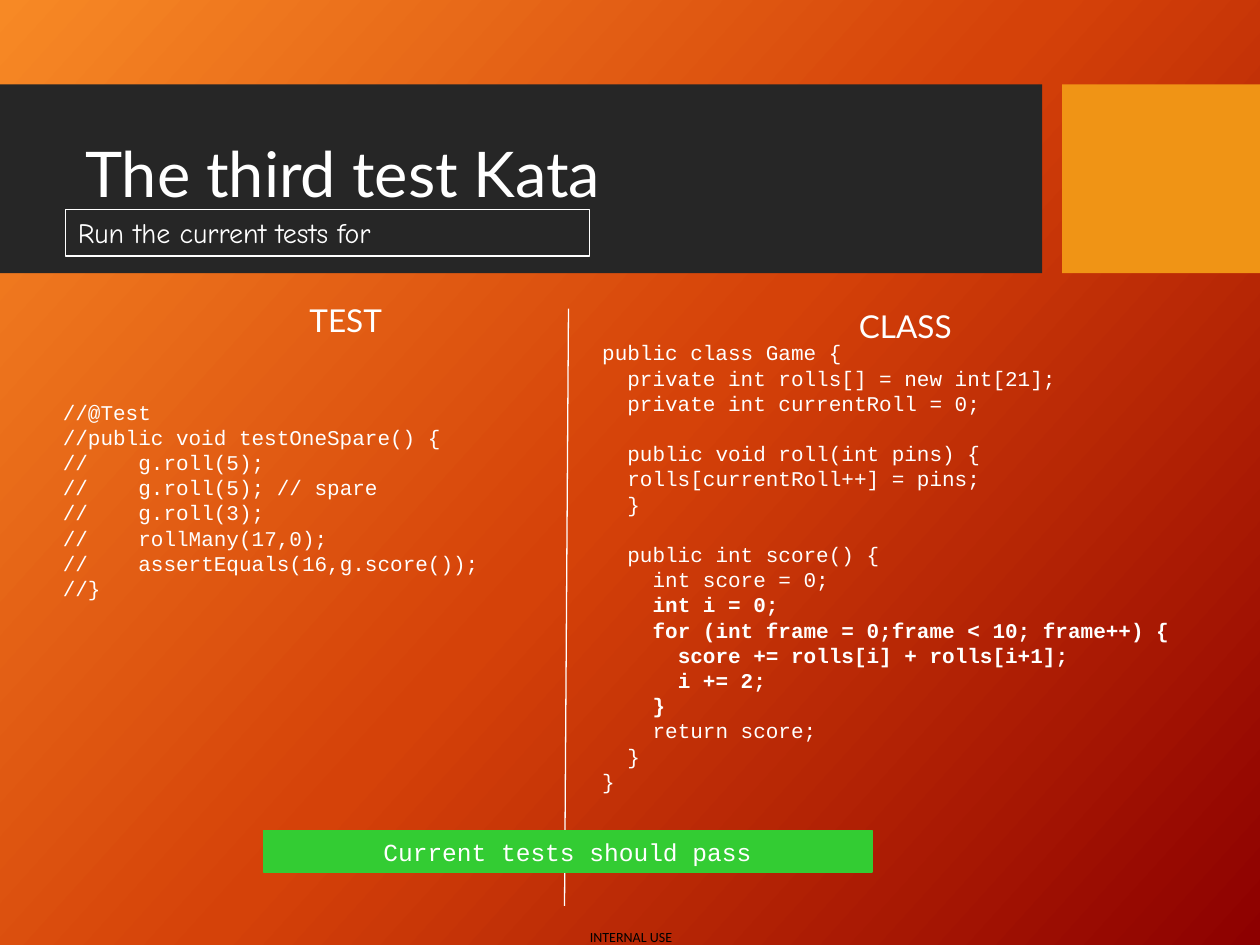
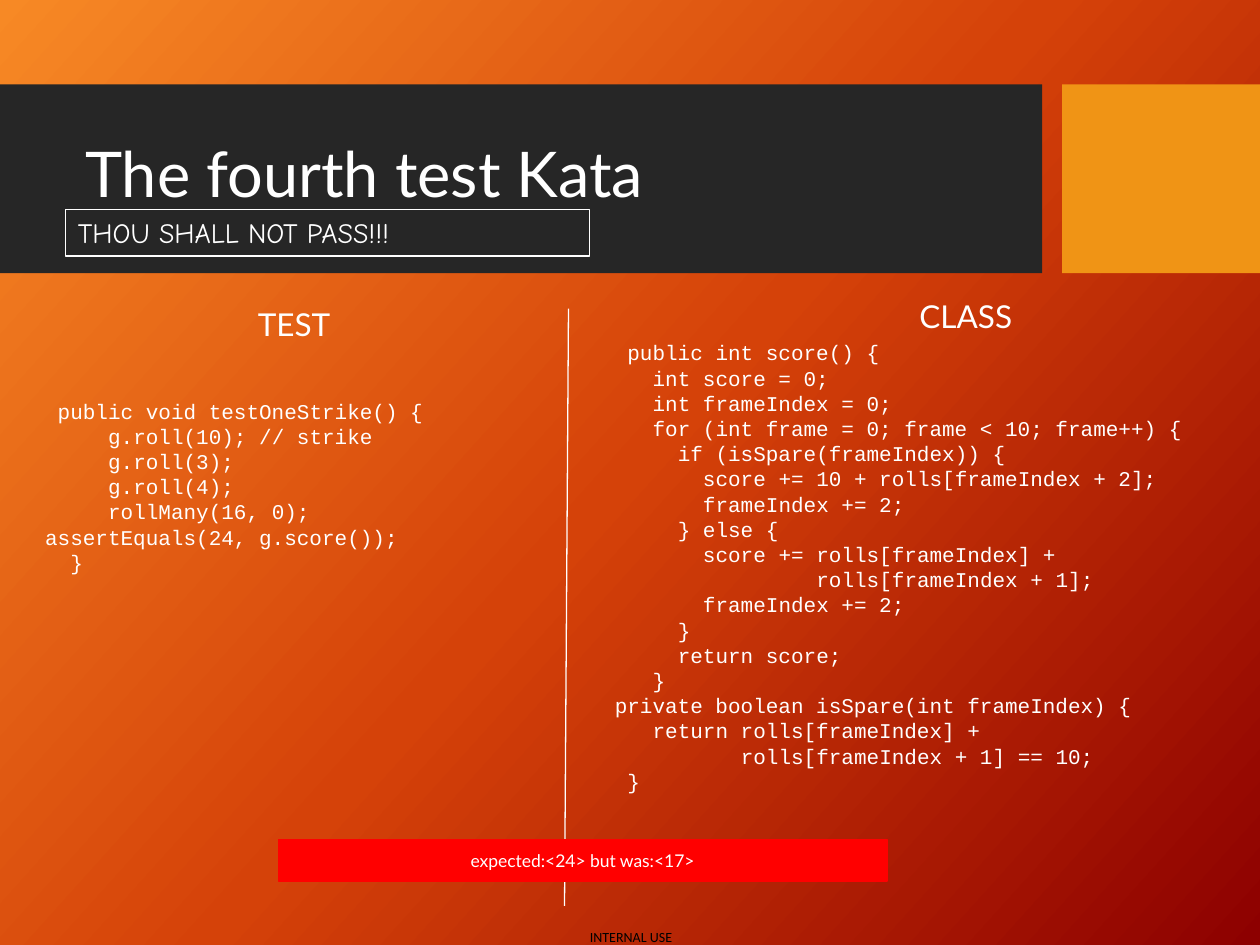
import copy

import pptx
import pptx.dml.color
import pptx.enum.shapes
import pptx.enum.text
import pptx.oxml.ns
import pptx.util
from pptx.util import Cm, Pt

# Shared colours, fonts and alignments
RGBColor = pptx.dml.color.RGBColor
WHITE = RGBColor(0xFF, 0xFF, 0xFF)
BLACK = RGBColor(0x00, 0x00, 0x00)
BAND = RGBColor(0x26, 0x26, 0x26)
ACCENT = RGBColor(0xF0, 0x94, 0x15)
PASS_GREEN = RGBColor(0x33, 0xCC, 0x33)
FAIL_RED = RGBColor(0xFF, 0x00, 0x00)
GRADIENT = [
    (0.0, RGBColor(0xF7, 0x89, 0x25)),
    (0.5, RGBColor(0xD5, 0x42, 0x09)),
    (1.0, RGBColor(0x8D, 0x00, 0x00)),
]
HEADING_FONT = "Lato"
CODE_FONT = "Courier New"
LEFT = pptx.enum.text.PP_ALIGN.LEFT
CENTER = pptx.enum.text.PP_ALIGN.CENTER
TOP = pptx.enum.text.MSO_ANCHOR.TOP
MIDDLE = pptx.enum.text.MSO_ANCHOR.MIDDLE
RECTANGLE = pptx.enum.shapes.MSO_SHAPE.RECTANGLE

# Code metrics: one character and one line at 12 pt, columns a tab spans
CHARACTER = Pt(7.2)
CODE_LINE = Pt(14.4)
TAB_COLUMNS = 6

# What differs between the slides; positions are left, top in cm
SLIDES = [
    {
        "title": "The third test Kata",
        "subtitle": "Run the current tests for",
        "headings": [("TEST", 4.01, 5.94), ("CLASS", 15.29, 6.07)],
        "test_place": (0, 7.92, 11.46, 4.37),
        "test": """\
    //@Test
    //public void testOneSpare() {
    //\tg.roll(5);
    //\tg.roll(5); // spare
    //\tg.roll(3);
    //\trollMany(17,0);
    //\tassertEquals(16,g.score());
    //}""",
        "class": """\
public class Game {
  private int rolls[] = new int[21];
  private int currentRoll = 0;

  public void roll(int pins) {
  rolls[currentRoll++] = pins;
  }

  public int score() {
    int score = 0;
    int i = 0;
    for (int frame = 0;frame < 10; frame++) {
      score += rolls[i] + rolls[i+1];
      i += 2;
    }
    return score;
  }
}""",
        "bold_lines": range(10, 15),
        "status": ("Current tests should pass", PASS_GREEN, 5.31, 16.74, CODE_FONT, 14),
    },
    {
        "title": "The fourth test Kata",
        "subtitle": "THOU SHALL NOT PASS!!!",
        "headings": [("TEST", 2.97, 6.02), ("CLASS", 16.51, 5.87)],
        "test_place": (0.66, 7.9, 11.46, 3.84),
        "test": """\
 public void testOneStrike() {
     g.roll(10); // strike
     g.roll(3);
     g.roll(4);
     rollMany(16, 0);
assertEquals(24, g.score());
  }""",
        "class": """\
  public int score() {
    int score = 0;
    int frameIndex = 0;
    for (int frame = 0; frame < 10; frame++) {
      if (isSpare(frameIndex)) {
        score += 10 + rolls[frameIndex + 2];
        frameIndex += 2;
      } else {
        score += rolls[frameIndex] +
                 rolls[frameIndex + 1];
        frameIndex += 2;
      }
      return score;
    }
 private boolean isSpare(int frameIndex) {
    return rolls[frameIndex] +
           rolls[frameIndex + 1] == 10;
  }""",
        "bold_lines": range(0),
        "status": ("expected:<24> but was:<17>", FAIL_RED, 5.61, 16.92, HEADING_FONT, 10),
    },
]


def add_box(slide, place, text="", font=HEADING_FONT, size=18, color=WHITE,
            align=LEFT, anchor=TOP, fill=None, line=None):
    """Add a rectangle if it has a fill or a line, otherwise a text box."""
    place = [Cm(length) for length in place]
    if fill is None and line is None:
        box = slide.shapes.add_textbox(*place)
    else:
        box = slide.shapes.add_shape(RECTANGLE, *place)
        box.shadow.inherit = False
        if fill is None:
            box.fill.background()
        else:
            box.fill.solid()
            box.fill.fore_color.rgb = fill
        if line is None:
            box.line.fill.background()
        else:
            box.line.color.rgb = line
            box.line.width = Pt(0.75)
    frame = box.text_frame
    frame.word_wrap = True
    frame.vertical_anchor = anchor
    frame.text = text
    for para in frame.paragraphs:
        para.alignment = align
        for span in para.runs:
            span.font.name = font
            span.font.size = Pt(size)
            span.font.color.rgb = color
    return box


def add_code(slide, place, code, bold_lines=()):
    """Add a listing; leading spaces become indents, empty lines become gaps."""
    lines = code.split("\n")
    filled = [number for number, line in enumerate(lines) if line]
    text = "\n".join(lines[number].lstrip(" ") for number in filled)
    box = add_box(slide, place, text, CODE_FONT, 12)
    for number, para in zip(filled, box.text_frame.paragraphs):
        line = lines[number]
        columns = len(line) - len(line.lstrip(" "))
        hanging = TAB_COLUMNS if "\t" in line else 0
        properties = para._p.get_or_add_pPr()
        properties.set("marL", str((columns + hanging) * CHARACTER))
        properties.set("indent", str(-hanging * CHARACTER))
        if number > 0 and not lines[number - 1]:
            para.space_before = CODE_LINE
        for span in para.runs:
            span.font.bold = number in bold_lines


deck = pptx.Presentation()
deck.slide_width = Cm(25.4)
deck.slide_height = Cm(19.05)

for content in SLIDES:
    slide = deck.slides.add_slide(deck.slide_layouts[6])

    # Gradient background with three stops, 42 degrees clockwise
    background = slide.background.fill
    background.gradient()
    background.gradient_angle = 360 - 42
    first_stop = slide._element.xpath(".//a:gs")[0]
    first_stop.addnext(copy.deepcopy(first_stop))
    for stop, (position, color) in zip(background.gradient_stops, GRADIENT):
        stop.position = position
        stop.color.rgb = color

    # Footer and title band
    footer = add_box(slide, (11.89, 18.72, 1.7, 0.33), "INTERNAL USE", "Calibri", 8, BLACK)
    footer.text_frame.margin_left = footer.text_frame.margin_right = 0
    footer.text_frame.margin_top = footer.text_frame.margin_bottom = 0
    footer.text_frame.word_wrap = False
    add_box(slide, (0, 1.7, 21.01, 3.81), fill=BAND)
    add_box(slide, (21.41, 1.7, 3.99, 3.81), fill=ACCENT)

    # Title and framed subtitle
    title = add_box(slide, (1.47, 2.08, 19.15, 3), content["title"], size=36, anchor=MIDDLE)
    title.text_frame.paragraphs[0].line_spacing = 0.9
    add_box(slide, (1.32, 4.22, 10.57, 0.94), content["subtitle"], "Comic Neue", 16, line=WHITE)

    # Divider between the two columns
    divider = slide.shapes.add_connector(
        pptx.enum.shapes.MSO_CONNECTOR.STRAIGHT, Cm(11.46), Cm(6.22), Cm(11.38), Cm(18.26))
    divider.line.color.rgb = WHITE
    divider.line.width = Pt(0.75)
    divider._element.spPr.append(pptx.oxml.parse_xml(
        "<a:effectLst %s/>" % pptx.oxml.ns.nsdecls("a")))

    # Column headings and code
    for heading, left, top in content["headings"]:
        add_box(slide, (left, top, 5.92, 1.02), heading, align=CENTER)
    add_code(slide, content["test_place"], content["test"])
    add_code(slide, (11.89, 6.73, 12.45, 9.5), content["class"], content["bold_lines"])

    # Test result bar
    message, color, left, top, font, size = content["status"]
    status = add_box(slide, (left, top, 12.27, 0.84), message, font, size,
                     align=CENTER, anchor=MIDDLE, fill=color, line=color)
    status.text_frame.word_wrap = False

deck.save("out.pptx")
